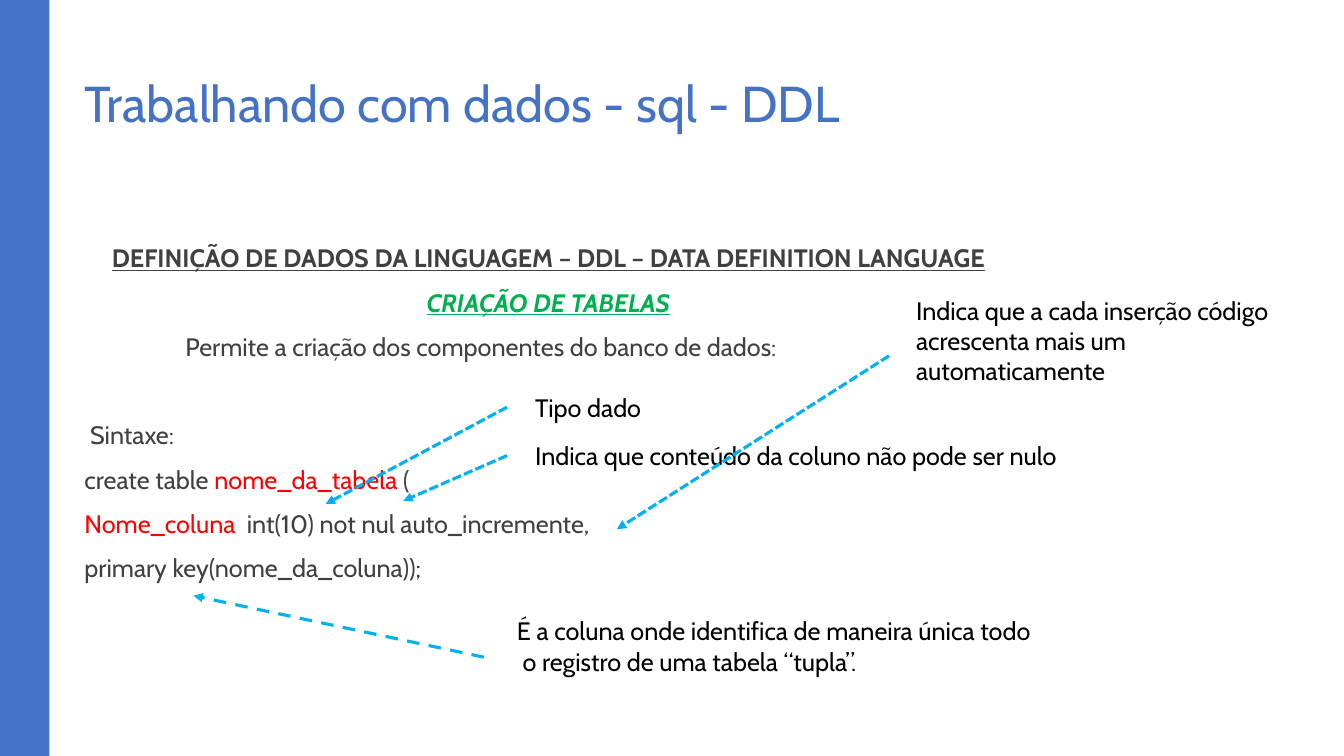
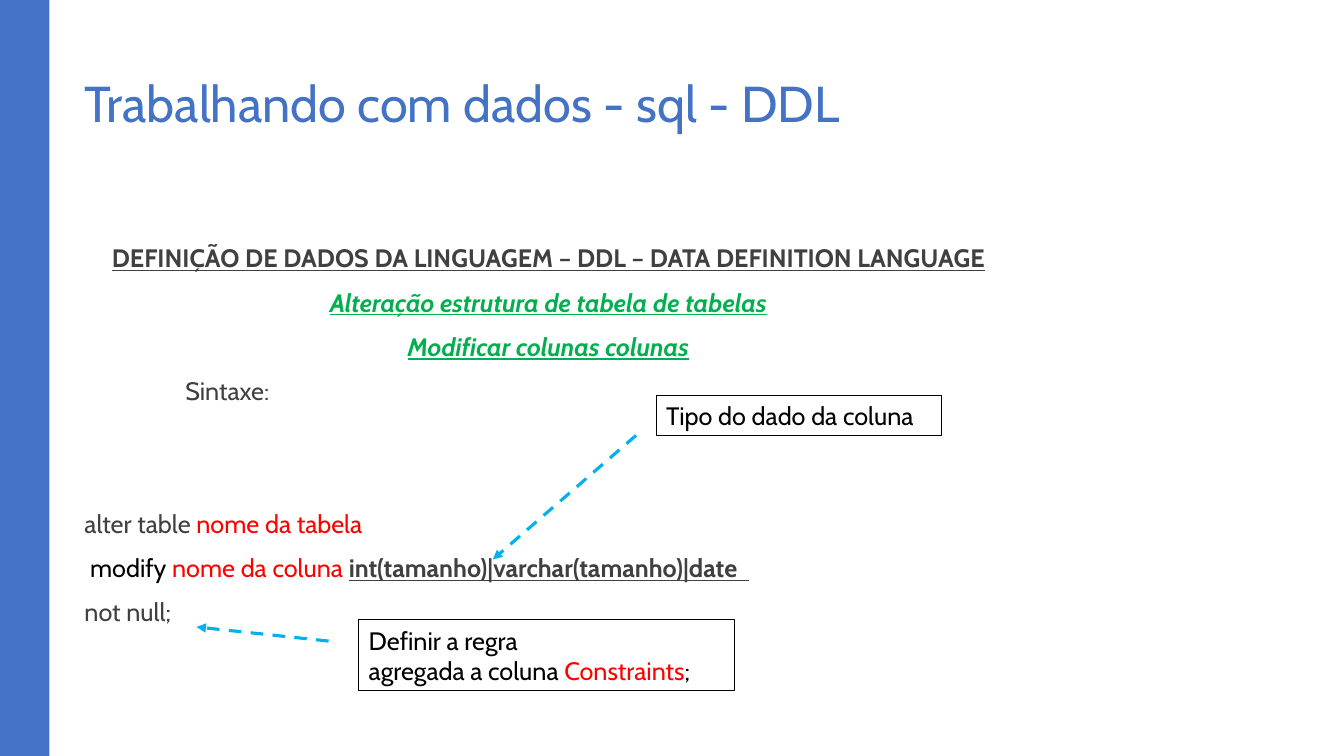
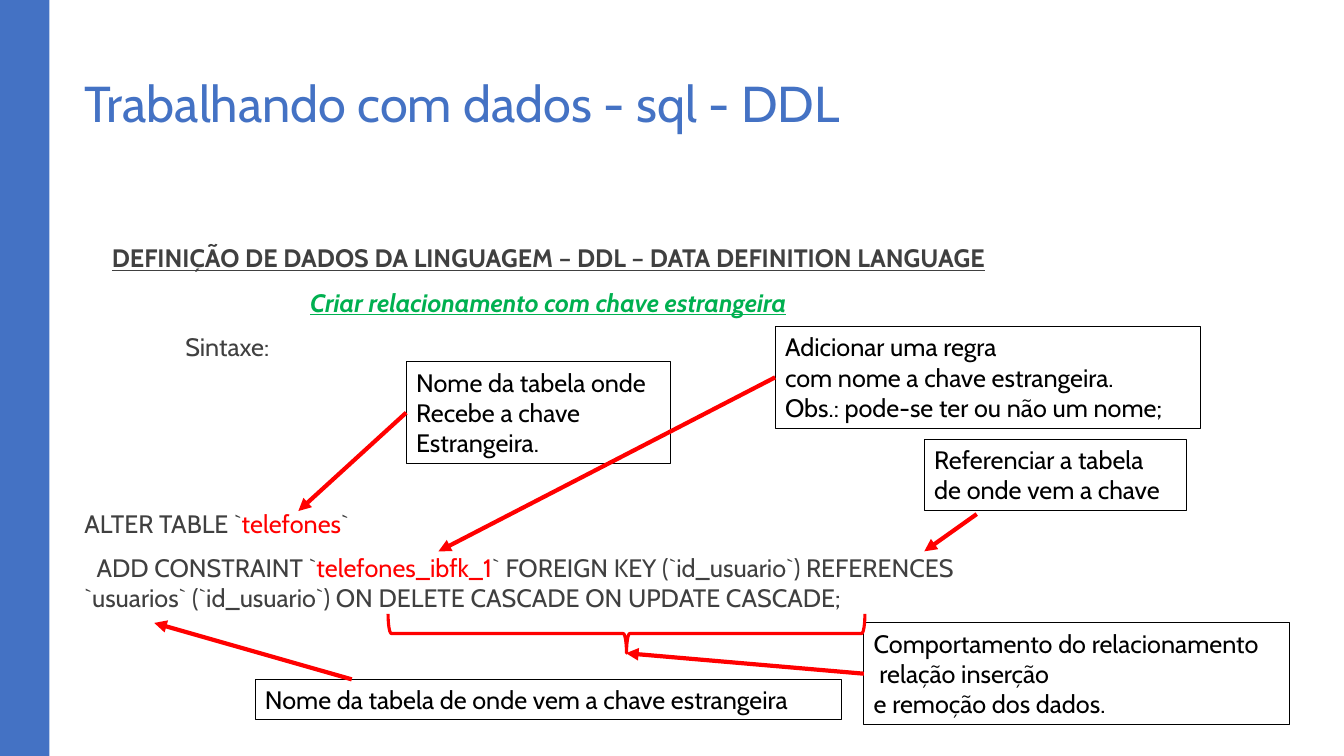
"""Build three slides that explain SQL data definition statements."""
import lxml.etree
import pptx
import pptx.dml.color
import pptx.enum.dml
import pptx.enum.shapes
import pptx.enum.text
import pptx.oxml.ns
import pptx.util

SLIDE_WIDTH = pptx.util.Inches(13.33)
SLIDE_HEIGHT = pptx.util.Inches(7.5)
COLUMNS, ROWS = 40, 30

BLUE = pptx.dml.color.RGBColor(0x44, 0x72, 0xC4)
GRAY = pptx.dml.color.RGBColor(0x40, 0x40, 0x40)
GREEN = pptx.dml.color.RGBColor(0x00, 0xB0, 0x50)
RED = pptx.dml.color.RGBColor(0xFF, 0x00, 0x00)
SKY = pptx.dml.color.RGBColor(0x00, 0xB0, 0xF0)
BLACK = pptx.dml.color.RGBColor(0x00, 0x00, 0x00)

FONT = "Cabin"
TEXT_SIZE = 18
TITLE_SIZE = 36
LINE_GAP = 10
LINE_PITCH = 31.6
DOTS = pptx.enum.dml.MSO_LINE.SQUARE_DOT
DASHES = pptx.enum.dml.MSO_LINE.DASH

TITLE = "Trabalhando com dados - sql - DDL"
HEADING = "DEFINIÇÃO DE DADOS DA LINGUAGEM – DDL – DATA DEFINITION LANGUAGE"


def cols(count):
    """Turn grid columns into a length."""
    return round(SLIDE_WIDTH * count / COLUMNS)


def rows(count):
    """Turn grid rows into a length."""
    return round(SLIDE_HEIGHT * count / ROWS)


def frame(left, top, width, height):
    """Turn a grid rectangle into lengths."""
    return cols(left), rows(top), cols(width), rows(height)


def write_spans(para, spans, color, size=TEXT_SIZE, bold=False, italic=False, underline=False):
    """Write spans, each a plain string or a (text, own color, emphasis) tuple."""
    for item in spans:
        text, own_color, strong = (item, color, False) if isinstance(item, str) else item
        span = para.add_run()
        span.text = text
        span.font.name = FONT
        span.font.size = pptx.util.Pt(size)
        span.font.color.rgb = own_color
        span.font.bold = bold or strong
        span.font.italic = italic
        span.font.underline = underline or strong


def add_text_box(slide, place):
    """Add an empty wrapping text box."""
    box = slide.shapes.add_textbox(*frame(*place))
    box.text_frame.word_wrap = True
    return box


def add_page(deck):
    """Add a page with the side band and the shared title."""
    page = deck.slides.add_slide(deck.slide_layouts[6])
    band = page.shapes.add_shape(
        pptx.enum.shapes.MSO_SHAPE.RECTANGLE, *frame(0, 0, 1.47, ROWS))
    band.shadow.inherit = False
    band.fill.solid()
    band.fill.fore_color.rgb = BLUE
    band.line.fill.background()
    title = add_text_box(page, (2.22, 2.68, 28.2, 5.76))
    write_spans(title.text_frame.paragraphs[0], [TITLE], BLUE, TITLE_SIZE)
    return page


def add_body(page, subtitles, lines):
    """Add headings, then lines of (spans, skipped lines, left and first-line indent)."""
    text_frame = add_text_box(page, (2.22, 9.44, 28.2, 16.96)).text_frame
    for index, heading in enumerate([HEADING, *subtitles]):
        para = text_frame.add_paragraph() if index else text_frame.paragraphs[0]
        para.alignment = pptx.enum.text.PP_ALIGN.CENTER
        para.space_before = pptx.util.Pt(LINE_GAP)
        write_spans(para, [heading], GREEN if index else GRAY,
                    bold=True, italic=index > 0, underline=True)
    for spans, skipped, left, first in lines:
        para = text_frame.add_paragraph()
        para.space_before = pptx.util.Pt(LINE_GAP + skipped * LINE_PITCH)
        properties = para._p.get_or_add_pPr()
        properties.set("marL", str(cols(left)))
        properties.set("indent", str(cols(first)))
        write_spans(para, spans, GRAY)


def add_note(page, left, top, width, lines, outlined=True):
    """Add a note as tall as its lines need."""
    box = add_text_box(page, (left, top, width, 0.4 + 1.21 * len(lines)))
    if outlined:
        box.line.color.rgb = BLACK
        box.line.width = pptx.util.Pt(0.75)
    for index, spans in enumerate(lines):
        para = box.text_frame.add_paragraph() if index else box.text_frame.paragraphs[0]
        write_spans(para, [spans] if isinstance(spans, str) else spans, BLACK)
    return box


def add_arrow(page, start, end, color, weight, dash=None):
    """Add an arrow from a grid point, or from a note's left side, to a grid point."""
    joined = not isinstance(start, tuple)
    begin = (0, 0) if joined else start
    arrow = page.shapes.add_connector(
        pptx.enum.shapes.MSO_CONNECTOR.STRAIGHT,
        cols(begin[0]), rows(begin[1]), cols(end[0]), rows(end[1]))
    if joined:
        arrow.begin_connect(start, 1)
    arrow.line.color.rgb = color
    arrow.line.width = pptx.util.Pt(weight)
    if dash is not None:
        arrow.line.dash_style = dash
    properties = arrow._element.spPr
    outline = properties.find(pptx.oxml.ns.qn("a:ln"))
    lxml.etree.SubElement(outline, pptx.oxml.ns.qn("a:tailEnd"), type="triangle")
    lxml.etree.SubElement(properties, pptx.oxml.ns.qn("a:effectLst"))


def add_brace(page, place):
    """Add a red brace that opens upward."""
    brace = page.shapes.add_shape(
        pptx.enum.shapes.MSO_SHAPE.RIGHT_BRACE, *frame(*place))
    brace.rotation = 90
    brace.shadow.inherit = False
    brace.fill.background()
    brace.line.color.rgb = RED
    brace.line.width = pptx.util.Pt(2.25)


def build_create_table(deck):
    """Explain how a table is created."""
    page = add_page(deck)
    add_body(page, ["CRIAÇÃO DE TABELAS"], [
        (["Permite a criação dos componentes do banco de dados:"], 0, 3, 0),
        ([" Sintaxe:"], 1, 0, 0),
        (["create table ", ("nome_da_tabela", RED, False), " ("], 0, 0, 0),
        ([("Nome_coluna", RED, False), "  int(10) not nul auto_incremente,"], 0, 0, 0),
        (["primary key(nome_da_coluna));"], 0, 0, 0),
    ])
    notes = [
        (15.63, 15.36, 3.93, ["Tipo dado"]),
        (15.63, 17.28, 17.49, ["Indica que conteúdo da coluno não pode ser nulo"]),
        (26.97, 11.52, 11.94,
         ["Indica que a cada inserção código acrescenta mais um automaticamente"]),
        (15.09, 24.24, 17.31, ["É a coluna onde identifica de maneira única todo",
                               " o registro de uma tabela “tupla”."]),
    ]
    arrows = [
        ((15.09, 16.16), (9.69, 20), DOTS),
        ((15.09, 18.08), (12, 19.88), DOTS),
        ((26.46, 14.12), (18.36, 21), DOTS),
        ((14.4, 26.08), (5.76, 23.64), DASHES),
    ]
    for note, (start, end, dash) in zip(notes, arrows):
        add_note(page, *note, outlined=False)
        add_arrow(page, start, end, SKY, 2.25, dash)


def build_modify_column(deck):
    """Explain how a column is modified."""
    page = add_page(deck)
    add_body(page, ["Alteração estrutura de tabela de tabelas", "Modificar colunas colunas"], [
        (["Sintaxe:"], 0, 3, 0),
        (["alter table ", ("nome da tabela", RED, False)], 2, 0, 0),
        ([(" modify ", BLACK, False), ("nome da coluna ", RED, False),
          ("int(tamanho)|varchar(tamanho)|date  ", GRAY, True)], 0, 0, 0),
        (["not null;"], 0, 0, 0),
    ])
    add_note(page, 19.53, 15.68, 8.49, ["Tipo do dado da coluna"])
    add_arrow(page, (18.93, 17.28), (14.67, 22.2), SKY, 2.25, DASHES)
    add_note(page, 10.68, 24.6, 11.19, [
        "Definir a regra", ["agregada a coluna ", ("Constraints", RED, False), ";"]])
    add_arrow(page, (9.78, 25.44), (5.85, 24.88), SKY, 2.25, DASHES)


def build_foreign_key(deck):
    """Explain how a foreign key is added."""
    page = add_page(deck)
    add_body(page, ["Criar relacionamento com chave estrangeira"], [
        (["Sintaxe:"], 0, 3, 0),
        (["ALTER TABLE `", ("telefones", RED, False), "`"], 3, 0, 0),
        (["ADD CONSTRAINT `", ("telefones_ibfk_1", RED, False),
          "` FOREIGN KEY (`id_usuario`) REFERENCES `usuarios` (`id_usuario`) "
          "ON DELETE CASCADE ON UPDATE CASCADE;"], 0, 0, 0.36),
    ])
    notes = [
        (12.09, 14.36, 7.86, ["Nome da tabela onde", "Recebe a chave", "Estrangeira."]),
        (23.07, 12.96, 12.66, ["Adicionar uma regra", "com nome a chave estrangeira.",
                               "Obs.: pode-se ter ou não um nome;"]),
        (27.51, 17.44, 7.8, ["Referenciar a tabela", "de onde vem a chave"]),
        (7.59, 26.96, 17.46, ["Nome da tabela de onde vem a chave estrangeira"]),
        (25.71, 24.72, 12.66, ["Comportamento do relacionamento", " relação inserção",
                               "e remoção dos dados."]),
    ]
    arrows = [
        (None, (8.88, 20.28)),
        (None, (13.05, 21.88)),
        ((29.07, 20.4), (27.51, 21.88)),
        ((10.47, 26.96), (4.59, 24.72)),
        (None, (18.63, 25.92)),
    ]
    for note, (start, end) in zip(notes, arrows):
        box = add_note(page, *note)
        add_arrow(page, start or box, end, RED, 3)
    add_brace(page, (18.06, 15.68, 1.17, 18.92))


def main():
    """Build and save the deck."""
    deck = pptx.Presentation()
    deck.slide_width = SLIDE_WIDTH
    deck.slide_height = SLIDE_HEIGHT
    build_create_table(deck)
    build_modify_column(deck)
    build_foreign_key(deck)
    deck.save("out.pptx")


if __name__ == "__main__":
    main()
